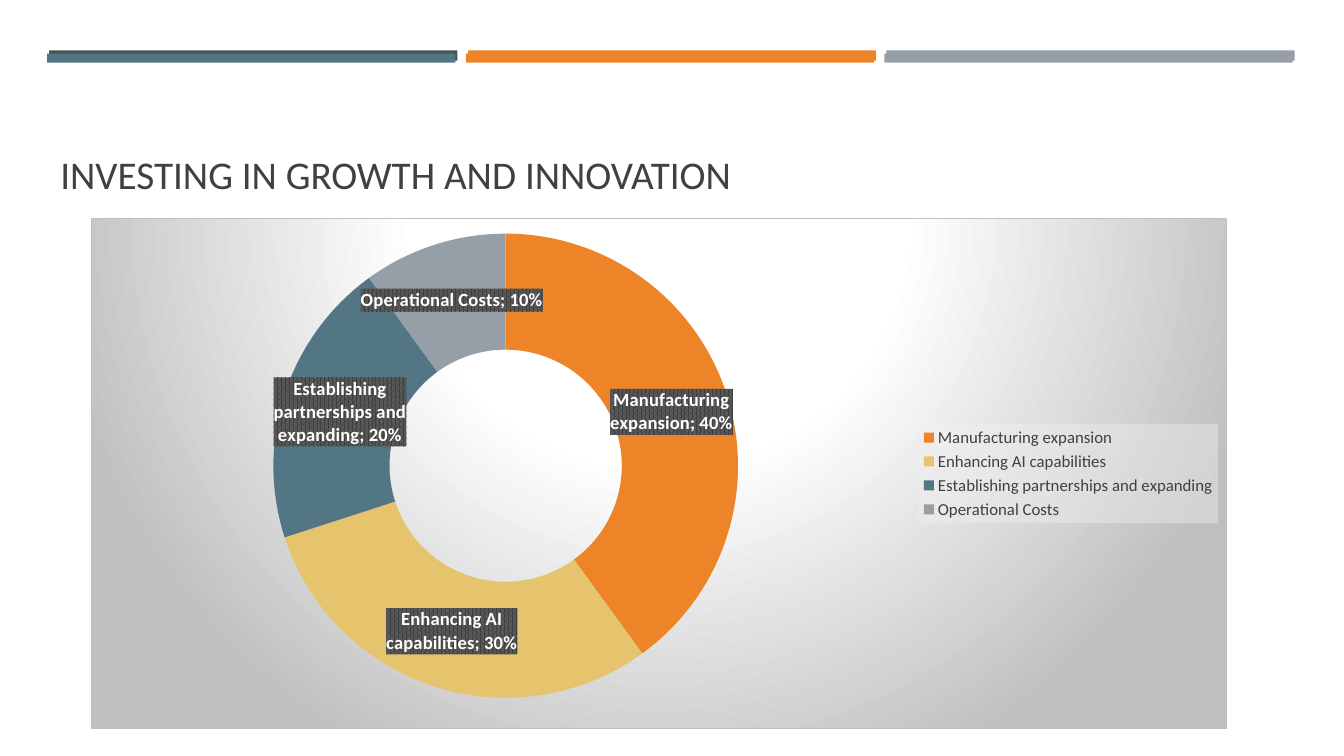
import lxml.etree
import pptx
import pptx.chart.data
import pptx.dml.color
import pptx.enum.chart
import pptx.enum.shapes
import pptx.enum.text
import pptx.oxml
import pptx.oxml.ns
import pptx.util

Cm = pptx.util.Cm
Pt = pptx.util.Pt
RGBColor = pptx.dml.color.RGBColor
qn = pptx.oxml.ns.qn

FONT = "Calibri"
SLATE = RGBColor(0x46, 0x53, 0x59)
TEAL = RGBColor(0x53, 0x76, 0x85)
ORANGE = RGBColor(0xED, 0x84, 0x28)
GOLD = RGBColor(0xE6, 0xC4, 0x6D)
GRAY = RGBColor(0x96, 0x9F, 0xA7)
SILVER = RGBColor(0xBF, 0xBF, 0xBF)
PALE = RGBColor(0xF2, 0xF2, 0xF2)
CHARCOAL = RGBColor(0x40, 0x40, 0x40)
DIM = RGBColor(0x59, 0x59, 0x59)
WHITE = RGBColor(0xFF, 0xFF, 0xFF)
BLACK = RGBColor(0, 0, 0)


def add_text(slide, text, left, top, width, height, *, size, color, anchor):
    box = slide.shapes.add_textbox(Cm(left), Cm(top), Cm(width), Cm(height))
    frame = box.text_frame
    frame.word_wrap = True
    frame.vertical_anchor = anchor
    paragraph = frame.paragraphs[0]
    paragraph.line_spacing = 0.9
    run = paragraph.add_run()
    run.text = text
    run.font.name = FONT
    run.font.size = Pt(size)
    run.font.color.rgb = color


def chart_element(tag, content):
    namespaces = pptx.oxml.ns.nsdecls("c", "a")
    return pptx.oxml.parse_xml(f"<c:{tag} {namespaces}>{content}</c:{tag}>")


presentation = pptx.Presentation()
presentation.slide_width = Cm(33.87)
presentation.slide_height = Cm(19.05)
slide = presentation.slides.add_slide(presentation.slide_layouts[6])

bar_rows = [
    (1.24, 1.27, 0.26, [SLATE, ORANGE, GRAY]),
    (1.19, 1.35, 0.23, [TEAL, ORANGE, GRAY]),
]
for left, top, height, colors in bar_rows:
    for column, color in enumerate(colors):
        bar = slide.shapes.add_shape(
            pptx.enum.shapes.MSO_SHAPE.RECTANGLE,
            Cm(left + column * 10.55), Cm(top), Cm(10.29), Cm(height))
        bar.shadow.inherit = False
        bar.fill.solid()
        bar.fill.fore_color.rgb = color
        bar.line.fill.background()

add_text(slide, "INVESTING IN GROWTH AND INNOVATION", 1.27, 1.93, 31.29, 3.18,
         size=28, color=CHARCOAL, anchor=pptx.enum.text.MSO_ANCHOR.BOTTOM)

investments = [
    ("Manufacturing expansion", 0.4, ORANGE),
    ("Enhancing AI capabilities", 0.3, GOLD),
    ("Establishing partnerships and expanding", 0.2, TEAL),
    ("Operational Costs", 0.1, GRAY),
]
chart_data = pptx.chart.data.CategoryChartData(number_format="0%")
chart_data.categories = [name for name, share, color in investments]
chart_data.add_series("Series 1", [share for name, share, color in investments])
chart = slide.shapes.add_chart(
    pptx.enum.chart.XL_CHART_TYPE.DOUGHNUT,
    Cm(2.29), Cm(5.49), Cm(28.63), Cm(12.88), chart_data).chart
chart.has_title = False
chart.font.name = FONT
chart.font.size = Pt(10)
chart.font.color.rgb = BLACK

plot = chart.plots[0]
plot.vary_by_categories = True
series = plot.series[0]
for index, (name, share, color) in enumerate(investments):
    point = series.points[index]
    point.format.fill.solid()
    point.format.fill.fore_color.rgb = color
    point.format.line.fill.background()

labels = series.data_labels
labels.show_value = True
labels.show_category_name = True
labels.show_percentage = False
labels.number_format = "0%"
labels.number_format_is_linked = False
labels.font.name = FONT
labels.font.size = Pt(13.3)
labels.font.bold = True
labels.font.color.rgb = WHITE
labels.font._element.getparent().getparent().getparent().addprevious(chart_element(
    "spPr",
    '<a:pattFill prst="pct75">'
    f'<a:fgClr><a:srgbClr val="{CHARCOAL}"/></a:fgClr>'
    f'<a:bgClr><a:srgbClr val="{DIM}"/></a:bgClr>'
    '</a:pattFill><a:ln><a:noFill/></a:ln>'))

chart.has_legend = True
legend = chart.legend
legend.position = pptx.enum.chart.XL_LEGEND_POSITION.RIGHT
legend.include_in_layout = False
legend.font.name = FONT
legend.font.size = Pt(12)
legend.font.color.rgb = CHARCOAL
legend._element.find(qn("c:txPr")).addprevious(chart_element(
    "spPr",
    f'<a:solidFill><a:srgbClr val="{PALE}"><a:alpha val="39000"/></a:srgbClr></a:solidFill>'
    '<a:ln><a:noFill/></a:ln>'))

chart_part = chart._chartSpace.find(qn("c:chart"))
plot_area = chart_part.find(qn("c:plotArea"))
for layout in plot_area.findall(qn("c:layout")):
    plot_area.remove(layout)
placement = {"x": 0.16, "y": 0.03, "w": 0.41, "h": 0.91}
plot_area.insert(0, chart_element(
    "layout",
    '<c:manualLayout><c:layoutTarget val="inner"/>'
    '<c:xMode val="edge"/><c:yMode val="edge"/>'
    + "".join(f'<c:{key} val="{value}"/>' for key, value in placement.items())
    + '</c:manualLayout>'))

gradient_stops = "".join(
    f'<a:gs pos="{position * 1000}"><a:srgbClr val="{color}"/></a:gs>'
    for position, color in [(0, WHITE), (39, WHITE), (100, SILVER)])
chart_part.addnext(chart_element(
    "spPr",
    f'<a:gradFill><a:gsLst>{gradient_stops}</a:gsLst><a:path path="circle">'
    '<a:fillToRect l="50000" t="-80000" r="50000" b="180000"/></a:path></a:gradFill>'
    f'<a:ln w="9525"><a:solidFill><a:srgbClr val="{SILVER}"/></a:solidFill></a:ln>'))

presentation.save("out.pptx")
